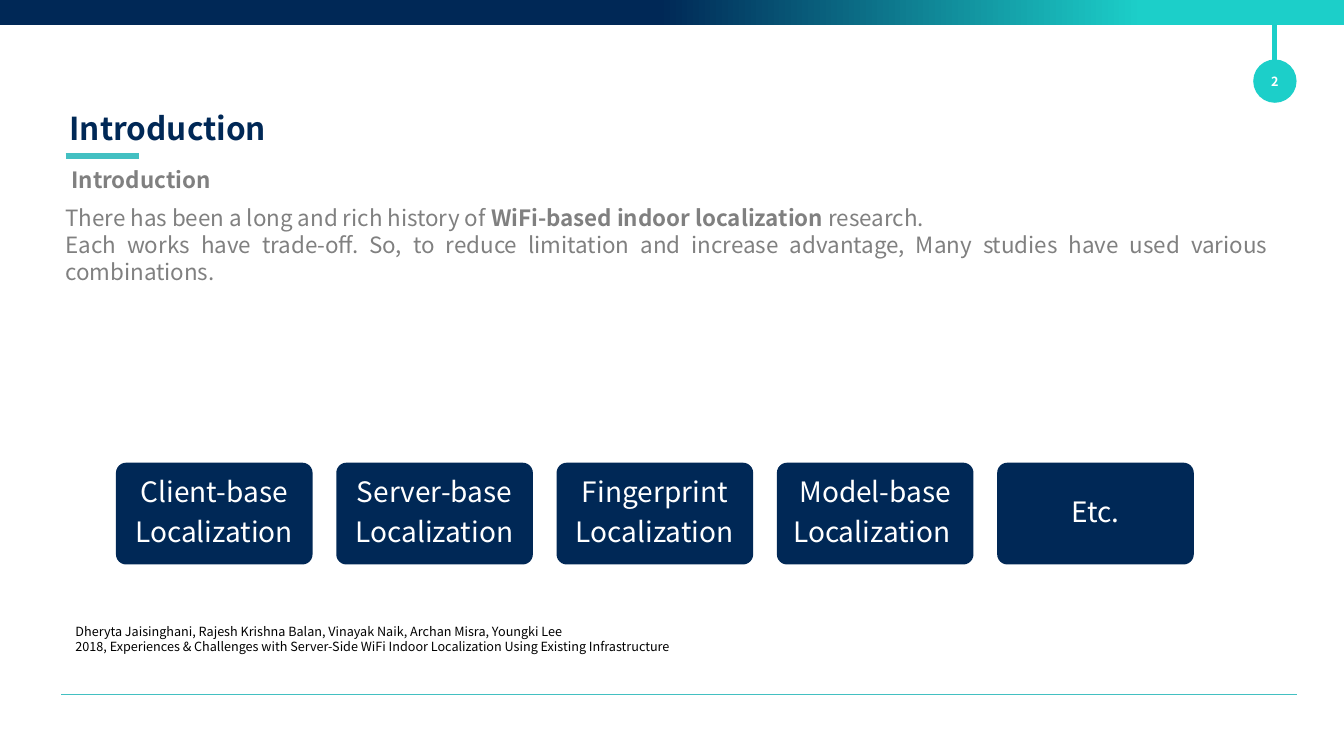
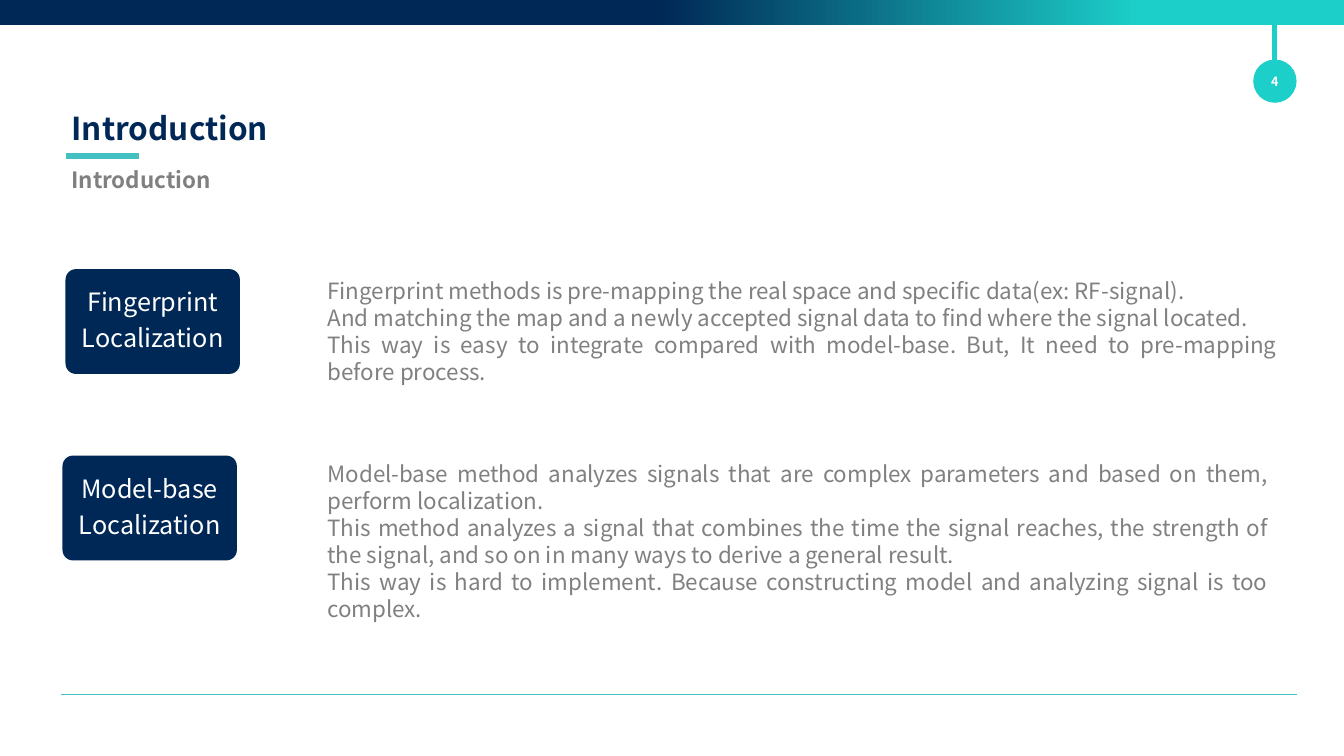
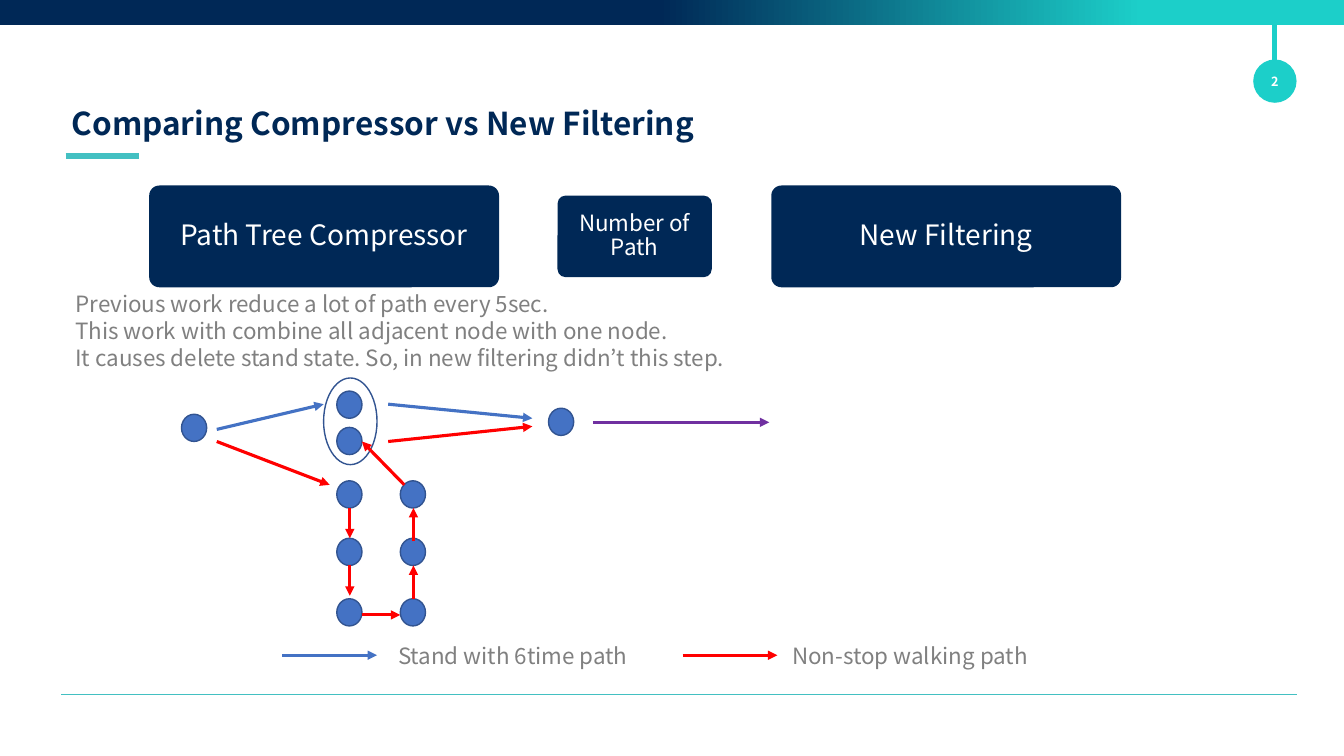
import pptx
import pptx.util
import pptx.dml.color
import pptx.enum.shapes
import pptx.enum.text
import pptx.oxml.ns
import lxml.etree

# Grid of one-inch cells: all places are in columns and rows
CELL = pptx.util.Inches(1)
COLUMNS, ROWS = 13.33, 7.5

FONT = "Noto Sans CJK KR"
COLORS = {
    "navy": "002856", "aqua": "1CCFC9", "teal": "43C0C2", "gray": "808080",
    "white": "FFFFFF", "black": "000000", "blue": "4472C4", "outline": "325491",
    "red": "FF0000", "purple": "7030A0",
}
SHAPES = pptx.enum.shapes.MSO_SHAPE
ALIGN = pptx.enum.text.PP_ALIGN
ANCHOR = pptx.enum.text.MSO_ANCHOR

# Text styles: size, bold, color
STYLES = {
    "title": (22.5, True, "navy"),
    "subtitle": (16, True, "gray"),
    "body": (16, False, "gray"),
    "source": (9, False, "black"),
    "badge": (9, True, "white"),
    "card16": (16, False, "white"),
    "card18": (18, False, "white"),
    "card20": (20, False, "white"),
}
PLAIN_INSETS = (0.1, 0.05, 0.1, 0.05)
BODY_INSETS = (0.1, 0.05, 0.06, 0.05)


def cells(*values):
    return [round(value * CELL) for value in values]


def rgb(name):
    return pptx.dml.color.RGBColor.from_string(COLORS[name])


def set_values(target, values):
    for name, value in values.items():
        setattr(target, name, value)


class Builder:
    """Holds the deck, its style and the current slide."""

    def __init__(self):
        self.deck = pptx.Presentation()
        self.deck.slide_width, self.deck.slide_height = cells(COLUMNS, ROWS)
        self.page = None

    def new_page(self, title, number, left=0.61, top=1.03):
        self.page = self.deck.slides.add_slide(self.deck.slide_layouts[5])
        box = self.page.shapes.title
        set_values(box, dict(zip(("left", "top", "width", "height"),
                                 cells(left, top, 11.61, 0.48))))
        self.fill_text(box, [title], "title")
        # Accent under the title and footer rule
        self.line((0.65, 1.55), (1.38, 1.55), "teal", 4.5)
        self.line((0.61, 6.89), (12.86, 6.89), "teal", 0.5)
        # Top band and page badge
        band = self.shape(SHAPES.RECTANGLE, (0, 0, COLUMNS, 0.25), "navy")
        band.fill.gradient()
        band.fill.gradient_angle = 0
        stops = ((0.49, "navy"), (0.85, "aqua"))
        for stop, (position, color) in zip(band.fill.gradient_stops, stops):
            stop.position = position
            stop.color.rgb = rgb(color)
        self.line((12.64, 0), (12.64, 0.8), "aqua", 3.25)
        badge = self.shape(SHAPES.OVAL, (12.43, 0.59, 0.43, 0.43), "aqua")
        self.fill_text(badge, [number], "badge", ALIGN.CENTER, ANCHOR.MIDDLE,
                       (0,) * 4)

    def fill_text(self, box, lines, style, align=ALIGN.LEFT, anchor=ANCHOR.TOP,
                  insets=PLAIN_INSETS, spacing=None):
        """Each line is a string or a list of (text, bold) spans."""
        size, bold, color = STYLES[style]
        frame = box.text_frame
        margins = ("margin_left", "margin_top", "margin_right", "margin_bottom")
        set_values(frame, dict(zip(margins, cells(*insets))))
        set_values(frame, {"word_wrap": True, "vertical_anchor": anchor,
                           "auto_size": pptx.enum.text.MSO_AUTO_SIZE.NONE})
        for index, line in enumerate(lines):
            para = frame.add_paragraph() if index else frame.paragraphs[0]
            set_values(para, {"alignment": align, **(spacing or {})})
            spans = [(line, bold)] if isinstance(line, str) else line
            for text, heavy in spans:
                span = para.add_run()
                span.text = text
                set_values(span.font, {"name": FONT, "size": pptx.util.Pt(size),
                                       "bold": heavy})
                span.font.color.rgb = rgb(color)

    def text(self, place, lines, style, **options):
        box = self.page.shapes.add_textbox(*cells(*place))
        self.fill_text(box, lines, style, **options)

    def body(self, place, lines):
        self.text(place, lines, "body", align=ALIGN.JUSTIFY, insets=BODY_INSETS)

    def subtitle(self, text):
        self.text((0.61, 1.6, 3.14, 0.37), [text], "subtitle")

    def shape(self, kind, place, fill=None, outline=None):
        shape = self.page.shapes.add_shape(kind, *cells(*place))
        shape.shadow.inherit = False
        if fill:
            shape.fill.solid()
            shape.fill.fore_color.rgb = rgb(fill)
        else:
            shape.fill.background()
        if outline:
            shape.line.color.rgb = rgb(outline)
            shape.line.width = pptx.util.Pt(1)
        else:
            shape.line.fill.background()
        return shape

    def card(self, place, lines, size=20, inset=0.07):
        card = self.shape(SHAPES.ROUNDED_RECTANGLE, place, "navy")
        card.adjustments[0] = 0.1
        spacing = {"line_spacing": 0.9, "space_after": pptx.util.Pt(0.35 * size)}
        self.fill_text(card, lines, f"card{size}", ALIGN.CENTER, ANCHOR.MIDDLE,
                       (inset,) * 4, spacing)

    def node(self, left, top):
        self.shape(SHAPES.OVAL, (left, top, 0.25, 0.27), "blue", "outline")

    def line(self, start, end, color, width, arrow=False):
        line = self.page.shapes.add_connector(
            pptx.enum.shapes.MSO_CONNECTOR.STRAIGHT, *cells(*start, *end))
        line.line.color.rgb = rgb(color)
        line.line.width = pptx.util.Pt(width)
        qn = pptx.oxml.ns.qn
        properties = line._element.spPr
        if arrow:
            lxml.etree.SubElement(properties.find(qn("a:ln")), qn("a:tailEnd"),
                                  type="triangle")
        lxml.etree.SubElement(properties, qn("a:effectLst"))

    def arrow(self, start, end, color):
        self.line(start, end, color, 2.25, arrow=True)


def method_overview(builder):
    builder.new_page("Introduction", "2", left=0.59)
    builder.subtitle("Introduction")
    builder.body((0.55, 1.98, 12.09, 1.18), [
        [("There has been a long and rich history of ", False),
         ("WiFi-based indoor localization", True), (" research.", False)],
        "Each works have trade-off. So, to reduce limitation and increase "
        "advantage, Many studies have used various combinations.",
    ])
    # Row of methods
    methods = [
        ["Client-base", "Localization"], ["Server-base", "Localization"],
        ["Fingerprint", "Localization"], ["Model-base", "Localization "], ["Etc."],
    ]
    pitch = (9.89 - 1.15) / (len(methods) - 1)
    for index, lines in enumerate(methods):
        builder.card((1.15 + pitch * index, 4.59, 1.95, 1.01), lines)
    builder.text((0.65, 6.14, 10.58, 0.4), [
        "Dheryta Jaisinghani, Rajesh Krishna Balan, Vinayak Naik, Archan Misra, "
        "Youngki Lee",
        "2018, Experiences & Challenges with Server-Side WiFi Indoor Localization "
        "Using Existing Infrastructure",
    ], "source")


def method_details(builder):
    builder.new_page("Introduction", "4")
    builder.subtitle("Introduction")
    builder.card((0.65, 2.67, 1.73, 1.04), ["Fingerprint", "Localization"], 18)
    builder.body((3.15, 2.7, 9.58, 1.45), [
        "Fingerprint methods is pre-mapping the real space and specific "
        "data(ex: RF-signal).",
        "And matching the map and a newly accepted signal data to find where the "
        "signal located.",
        "This way is easy to integrate compared with model-base. But, It need to "
        "pre-mapping before process.",
    ])
    builder.card((0.62, 4.52, 1.73, 1.04), ["Model-base", "Localization"], 18)
    builder.body((3.15, 4.52, 9.49, 1.99), [
        "Model-base method analyzes signals that are complex parameters and based "
        "on them, perform localization.",
        "This method analyzes a signal that combines the time the signal reaches, "
        "the strength of the signal, and so on in many ways to derive a general "
        "result.",
        "This way is hard to implement. Because constructing model and analyzing "
        "signal is too complex.",
    ])


def filtering_comparison(builder):
    builder.new_page("Comparing Compressor vs New Filtering", "2", top=0.98)
    # Headings
    for left, label in ((1.48, "Path Tree Compressor"), (7.65, "New Filtering")):
        builder.card((left, 1.84, 3.47, 1.01), [label], inset=0.15)
    builder.card((5.53, 1.94, 1.53, 0.81), ["Number of Path"], 16, 0.15)
    builder.body((0.65, 2.83, 10.98, 0.91), [
        "Previous work reduce a lot of path every 5sec.",
        "This work with combine all adjacent node with one node.",
        "It causes delete stand state. So, in new filtering didn’t this step.",
    ])
    # Path nodes: start, end, merged pair and the walking loop
    loop = [(left, top) for left in (3.34, 3.97) for top in (4.77, 5.34, 5.94)]
    for left, top in [(1.8, 4.11), (5.44, 4.05), (3.34, 3.88), (3.34, 4.24)] + loop:
        builder.node(left, top)
    builder.shape(SHAPES.OVAL, (3.21, 3.75, 0.53, 0.86), outline="outline")
    # Path steps
    steps = {
        "blue": [((2.15, 4.26), (3.21, 4.01)), ((3.85, 4.01), (5.28, 4.15))],
        "red": [
            ((2.15, 4.38), (3.27, 4.81)), ((3.47, 5.04), (3.47, 5.34)),
            ((3.47, 5.61), (3.47, 5.91)), ((3.59, 6.1), (3.97, 6.1)),
            ((4.1, 5.94), (4.1, 5.61)), ((4.1, 5.37), (4.1, 5.04)),
            ((4.01, 4.81), (3.59, 4.38)), ((3.85, 4.38), (5.28, 4.23)),
        ],
        "purple": [((5.88, 4.19), (7.63, 4.19))],
    }
    for color, pairs in steps.items():
        for start, end in pairs:
            builder.arrow(start, end, color)
    # Legend
    legend = ((2.8, 3.85, "blue", "Stand with 6time path"),
              (6.77, 7.76, "red", "Non-stop walking path"))
    for left, text_left, color, label in legend:
        builder.arrow((left, 6.5), (left + 0.94, 6.5), color)
        builder.body((text_left, 6.32, 3.25, 0.37), [label])


def main():
    builder = Builder()
    for build in (method_overview, method_details, filtering_comparison):
        build(builder)
    builder.deck.save("out.pptx")


if __name__ == "__main__":
    main()
